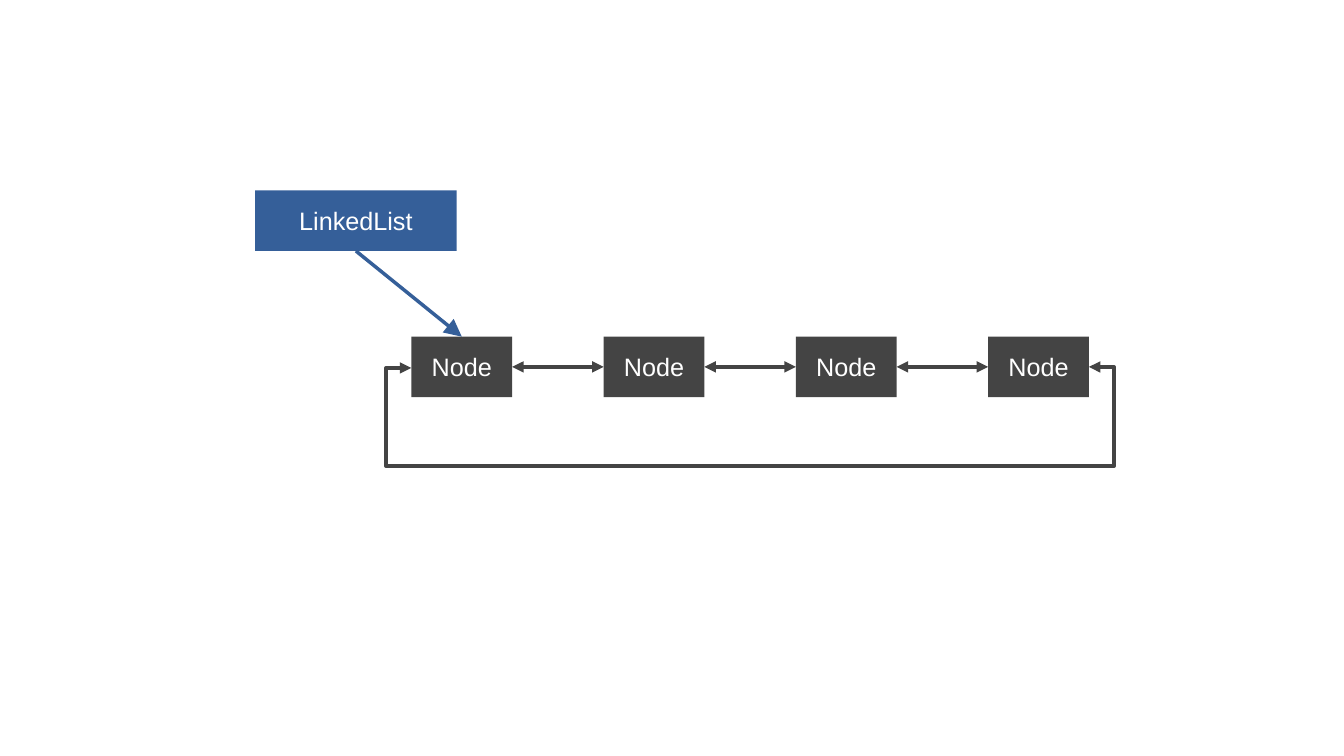
import pptx
import pptx.util
import pptx.dml.color
import pptx.enum.shapes
import pptx.enum.text
import pptx.oxml
import pptx.oxml.ns

COLUMNS, ROWS = 13.33, 7.5
LIST_BLUE, NODE_GREY, WHITE = "355F99", "444444", "FFFFFF"
BOX_HEIGHT = 0.6
NODE_COUNT, NODE_WIDTH = 4, 1
FIRST_NODE, LAST_NODE, NODE_ROW = 4.08, 9.8, 3.34
LOOP_STUB, LOOP_DROP, LOOP_RISE = 0.25, 1, 0.01
TOP, LEFT, BOTTOM, RIGHT = range(4)


def grid(cells):
    """Turn grid columns or rows, one inch each, into a length."""
    return pptx.util.Inches(cells)


def paint(color_format, color):
    """Set a colour from a hex string."""
    color_format.rgb = pptx.dml.color.RGBColor.from_string(color)


def add_box(slide, label, column, row, width, color):
    """Add a filled, borderless rectangle with a centred label."""
    box = slide.shapes.add_shape(
        pptx.enum.shapes.MSO_SHAPE.RECTANGLE,
        grid(column), grid(row), grid(width), grid(BOX_HEIGHT))
    box.shadow.inherit = False
    box.fill.solid()
    paint(box.fill.fore_color, color)
    box.line.fill.background()
    frame = box.text_frame
    frame.word_wrap = True
    frame.vertical_anchor = pptx.enum.text.MSO_ANCHOR.MIDDLE
    paragraph = frame.paragraphs[0]
    paragraph.alignment = pptx.enum.text.PP_ALIGN.CENTER
    run = paragraph.add_run()
    run.text = label
    run.font.name = "Arial"
    run.font.size = pptx.util.Pt(18)
    paint(run.font.color, WHITE)
    return box


def style_arrow(arrow, color, weight, ends, size="med"):
    """Set line colour, weight and triangular arrowheads, without shadow."""
    paint(arrow.line.color, color)
    arrow.line.width = pptx.util.Pt(weight)
    outline = arrow.line._get_or_add_ln()
    for end in ends:
        head = pptx.oxml.ns.qn("a:" + end)
        outline.append(outline.makeelement(
            head, {"type": "triangle", "w": size, "len": size}))
    properties = arrow._element.spPr
    properties.append(properties.makeelement(
        pptx.oxml.ns.qn("a:effectLst"), {}))


def link(slide, source, source_side, target, target_side):
    """Add a straight connector glued to two boxes."""
    arrow = slide.shapes.add_connector(
        pptx.enum.shapes.MSO_CONNECTOR.STRAIGHT, 0, 0, 0, 0)
    arrow.begin_connect(source, source_side)
    arrow.end_connect(target, target_side)
    return arrow


def add_loop(slide):
    """Add the bent connector that runs below from last node to first."""
    start = LAST_NODE + NODE_WIDTH
    row = NODE_ROW + BOX_HEIGHT / 2
    loop = slide.shapes.add_connector(
        pptx.enum.shapes.MSO_CONNECTOR.ELBOW,
        grid(start), grid(row), grid(FIRST_NODE), grid(row + LOOP_RISE))
    stub = LOOP_STUB / (start - FIRST_NODE)
    bends = (-stub, LOOP_DROP / LOOP_RISE, 1 + stub)
    geometry = loop._element.spPr.find(pptx.oxml.ns.qn("a:prstGeom"))
    geometry.set("prst", "bentConnector5")
    guides = geometry.find(pptx.oxml.ns.qn("a:avLst"))
    for number, bend in enumerate(bends, 1):
        guides.append(guides.makeelement(
            pptx.oxml.ns.qn("a:gd"),
            {"name": f"adj{number}", "fmla": f"val {round(bend * 100000)}"}))
    return loop


def main():
    """Build the slide of a circular doubly linked list."""
    deck = pptx.Presentation()
    deck.slide_width, deck.slide_height = grid(COLUMNS), grid(ROWS)
    slide = deck.slides.add_slide(deck.slide_layouts[6])

    linked_list = add_box(slide, "LinkedList", 2.53, 1.89, 2, LIST_BLUE)
    pitch = (LAST_NODE - FIRST_NODE) / (NODE_COUNT - 1)
    nodes = [add_box(slide, "Node", FIRST_NODE + index * pitch, NODE_ROW,
                     NODE_WIDTH, NODE_GREY) for index in range(NODE_COUNT)]

    head_pointer = link(slide, linked_list, BOTTOM, nodes[0], TOP)
    style_arrow(head_pointer, LIST_BLUE, 2.5, ["tailEnd"], "lg")
    node_links = [link(slide, node, RIGHT, following, LEFT)
                  for node, following in zip(nodes, nodes[1:])]
    for node_link in node_links + [add_loop(slide)]:
        style_arrow(node_link, NODE_GREY, 2.75, ["headEnd", "tailEnd"])

    deck.save("out.pptx")


main()
